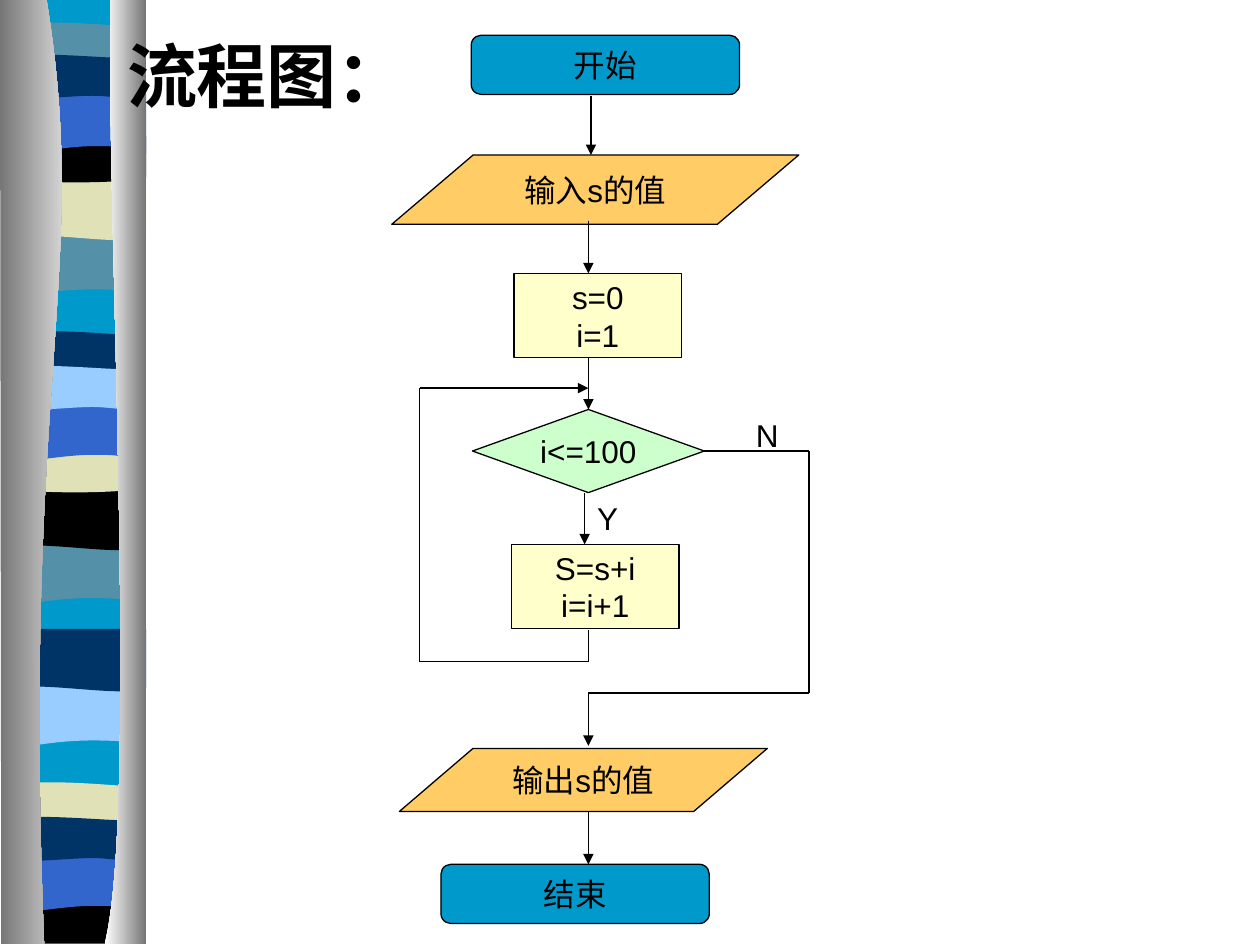
from dataclasses import dataclass
from typing import Any, Optional

from lxml import etree
from pptx import Presentation
from pptx.dml.color import RGBColor
from pptx.enum.shapes import MSO_CONNECTOR, MSO_SHAPE
from pptx.enum.text import MSO_ANCHOR, MSO_AUTO_SIZE, PP_ALIGN
from pptx.oxml.ns import qn
from pptx.util import Pt

SCALE = 9144  # EMU per px, 100 px to the inch
TERM = MSO_SHAPE.FLOWCHART_ALTERNATE_PROCESS
DATA = MSO_SHAPE.FLOWCHART_DATA
TEST = MSO_SHAPE.FLOWCHART_DECISION
RECT = MSO_SHAPE.RECTANGLE
LINE = MSO_CONNECTOR.STRAIGHT
MID = MSO_ANCHOR.MIDDLE
TOP = MSO_ANCHOR.TOP
LEFT = PP_ALIGN.LEFT
CENTER = PP_ALIGN.CENTER
GROW = MSO_AUTO_SIZE.SHAPE_TO_FIT_TEXT
FIXED = MSO_AUTO_SIZE.NONE

CYAN, TEAL, NAVY, BLUE = "0099CC", "5490A8", "003366", "3366CC"
SKY, SAND, BLACK = "99CCFF", "E1E1B7", "000000"
GOLD, CREAM, MINT = "FFCC66", "FFFFCC", "CCFFCC"
GRAY, WHITE = "767676", "FFFFFF"


@dataclass
class Band:
    form: str
    x: int
    y: int
    fill: str


@dataclass
class Node:
    name: str
    kind: Any
    box: tuple
    fill: str
    text: str


@dataclass
class Link:
    start: tuple
    end: tuple
    arrow: bool = True
    source: Optional[tuple] = None  # node name, side
    target: Optional[tuple] = None


@dataclass
class Label:
    text: str
    box: tuple
    size: int = 18
    bold: bool = False
    wrap: bool = False


# Outlines: a pair is a corner, six numbers are a Bezier curve
FORMS = {
    "swell": [(110, 0), (110, 47), (34, 39, 19, 55, 0, 47), (0, 0)],
    "sag": [(110, 0), (110, 47), (91, 55, 34, 42, 0, 47), (0, 0)],
    "strip": [(110, 5), (110, 29), (91, 33, 19, 33, 0, 29), (0, 5),
              (7, 0, 24, 1, 42, 1), (61, 1, 96, 4, 110, 5)],
    "bowl": [(110, 0), (110, 33), (91, 38, 18, 38, 0, 33), (0, 0),
             (68, 5, 87, 0, 110, 0)],
    "arch": [(110, 0), (110, 47), (93, 41, 86, 41, 68, 41),
             (49, 41, 17, 47, 0, 47), (0, 0)],
    "wave": [(110, 6), (110, 36), (103, 41, 86, 36, 68, 36),
             (49, 36, 12, 41, 0, 36), (0, 6), (16, 0, 75, 6, 93, 6),
             (111, 6, 106, 6, 110, 6)],
    "foot": [(110, 0), (110, 37), (0, 37), (0, 0), (68, 5, 87, 0, 110, 0)],
    "back": [(110, 0), (110, 747), (0, 747), (0, 0)],
}
BANDS = [
    Band("back", 6, 0, CYAN),
    Band("swell", 5, 185, TEAL), Band("sag", 6, 141, SAND),
    Band("strip", 5, 17, TEAL), Band("bowl", 6, 108, BLACK),
    Band("arch", 6, 75, BLUE), Band("wave", 5, 40, NAVY),
    Band("swell", 4, 430, TEAL), Band("sag", 5, 387, BLACK),
    Band("strip", 4, 262, NAVY), Band("bowl", 5, 354, SAND),
    Band("arch", 4, 320, BLUE), Band("wave", 5, 287, SKY),
    Band("swell", 5, 543, SKY), Band("sag", 6, 499, NAVY),
    Band("strip", 4, 620, SAND), Band("foot", 5, 712, BLACK),
    Band("arch", 4, 678, BLUE), Band("wave", 5, 645, NAVY),
]
DRAPES = [
    ([(37, 0), (72, 217, 17, 296, 35, 749), (1, 749), (0, 0)], GRAY, WHITE),
    ([(88, 0), (83, 125, 111, 647, 83, 749), (116, 749), (116, 0)],
     WHITE, GRAY),
]
NODES = [
    Node("start", TERM, (374, 28, 213, 47), CYAN, "开始"),
    Node("input", DATA, (311, 123, 323, 55), GOLD, "输入s的值"),
    Node("init", RECT, (408, 217, 133, 67), CREAM, "s=0\ni=1"),
    Node("test", TEST, (375, 325, 184, 66), MINT, "i<=100"),
    Node("body", RECT, (406, 432, 133, 67), CREAM, "S=s+i\ni=i+1"),
    Node("output", DATA, (317, 594, 292, 50), GOLD, "输出s的值"),
    Node("end", TERM, (350, 686, 213, 47), CYAN, "结束"),
]
LINKS = [
    Link((469, 76), (469, 123)),
    Link((467, 175), (467, 217)),
    Link((467, 283), (467, 325), target=("test", 0)),
    Link((464, 391), (464, 432)),
    Link((467, 644), (467, 686)),
    # Loop back
    Link((467, 500), (467, 525), False),
    Link((467, 525), (333, 525), False),
    Link((333, 308), (333, 525), False),
    Link((333, 308), (467, 308)),
    # Way out
    Link((559, 358), (642, 358), False, source=("test", 3)),
    Link((642, 358), (642, 550), False),
    Link((642, 550), (467, 550), False),
    Link((467, 550), (467, 592)),
]
LABELS = [
    Label("N", (590, 325, 38, 40)),
    Label("Y", (464, 391, 36, 40)),
    Label("流程图：", (91, 21, 268, 77), 40, True, True),
]


def px(*vals: int) -> list:
    return [val * SCALE for val in vals]


def color(code: str) -> RGBColor:
    return RGBColor.from_string(code)


def apply(item: Any, vals: dict) -> None:
    for key, val in vals.items():
        setattr(item, key, val)


def outline(shapes: Any, path: list, x: int = 0, y: int = 0) -> Any:
    pts = [px(a + x, b + y) for seg in path
           for a, b in zip(seg[::2], seg[1::2])]
    form = shapes.build_freeform(*pts[0], scale=1.0)
    form.add_line_segments(pts[1:], close=True)
    shape = form.convert_to_shape()
    # Join each run of three points into one curve
    lines = iter(list(shape._element.iter(qn("a:lnTo"))))
    for seg in path[1:]:
        first = next(lines)
        if len(seg) == 6:
            first.tag = qn("a:cubicBezTo")
            for line in (next(lines), next(lines)):
                first.append(line[0])
                line.getparent().remove(line)
    shape.shadow.inherit = False
    shape.line.fill.background()
    return shape


def paint(shape: Any, code: str) -> None:
    shape.fill.solid()
    shape.fill.fore_color.rgb = color(code)


def write(shape: Any, text: str, frame: dict, font: dict, align: Any) -> None:
    apply(shape.text_frame, {"text": text, **frame})
    for para in shape.text_frame.paragraphs:
        para.alignment = align
        for run in para.runs:
            apply(run.font, {"name": "Arial", **font})
            run.font.color.rgb = color(BLACK)


def draw_node(shapes: Any, node: Node) -> Any:
    shape = shapes.add_shape(node.kind, *px(*node.box))
    shape.shadow.inherit = False
    paint(shape, node.fill)
    shape.line.color.rgb = color(BLACK)
    shape.line.width = Pt(0.75)
    frame = {"word_wrap": False, "vertical_anchor": MID, "auto_size": FIXED}
    write(shape, node.text, frame, {"size": Pt(18)}, CENTER)
    return shape


def draw_link(shapes: Any, link: Link, nodes: dict) -> None:
    line = shapes.add_connector(LINE, *px(*link.start, *link.end))
    if link.source:
        line.begin_connect(nodes[link.source[0]], link.source[1])
    if link.target:
        line.end_connect(nodes[link.target[0]], link.target[1])
    line.line.color.rgb = color(BLACK)
    line.line.width = Pt(0.75)
    props = line._element.spPr
    if link.arrow:
        etree.SubElement(props.find(qn("a:ln")), qn("a:tailEnd"),
                         type="triangle")
    etree.SubElement(props, qn("a:effectLst"))


def draw_label(shapes: Any, label: Label) -> None:
    frame = {"word_wrap": label.wrap, "vertical_anchor": TOP,
             "auto_size": GROW}
    font = {"size": Pt(label.size), "bold": label.bold}
    write(shapes.add_textbox(*px(*label.box)), label.text, frame, font, LEFT)


def main() -> None:
    deck = Presentation()
    apply(deck, dict(zip(("slide_width", "slide_height"), px(1000, 750))))
    shapes = deck.slides.add_slide(deck.slide_layouts[6]).shapes

    # Ribbon and the two drapes over its edges
    for band in BANDS:
        paint(outline(shapes, FORMS[band.form], band.x, band.y), band.fill)
    for path, *tones in DRAPES:
        fill = outline(shapes, path).fill
        fill.gradient()
        fill.gradient_angle = 0
        for stop, tone in zip(fill.gradient_stops, tones):
            stop.color.rgb = color(tone)

    # Flowchart
    nodes = {node.name: draw_node(shapes, node) for node in NODES}
    for link in LINKS:
        draw_link(shapes, link, nodes)
    for label in LABELS:
        draw_label(shapes, label)
    deck.save("out.pptx")


if __name__ == "__main__":
    main()
